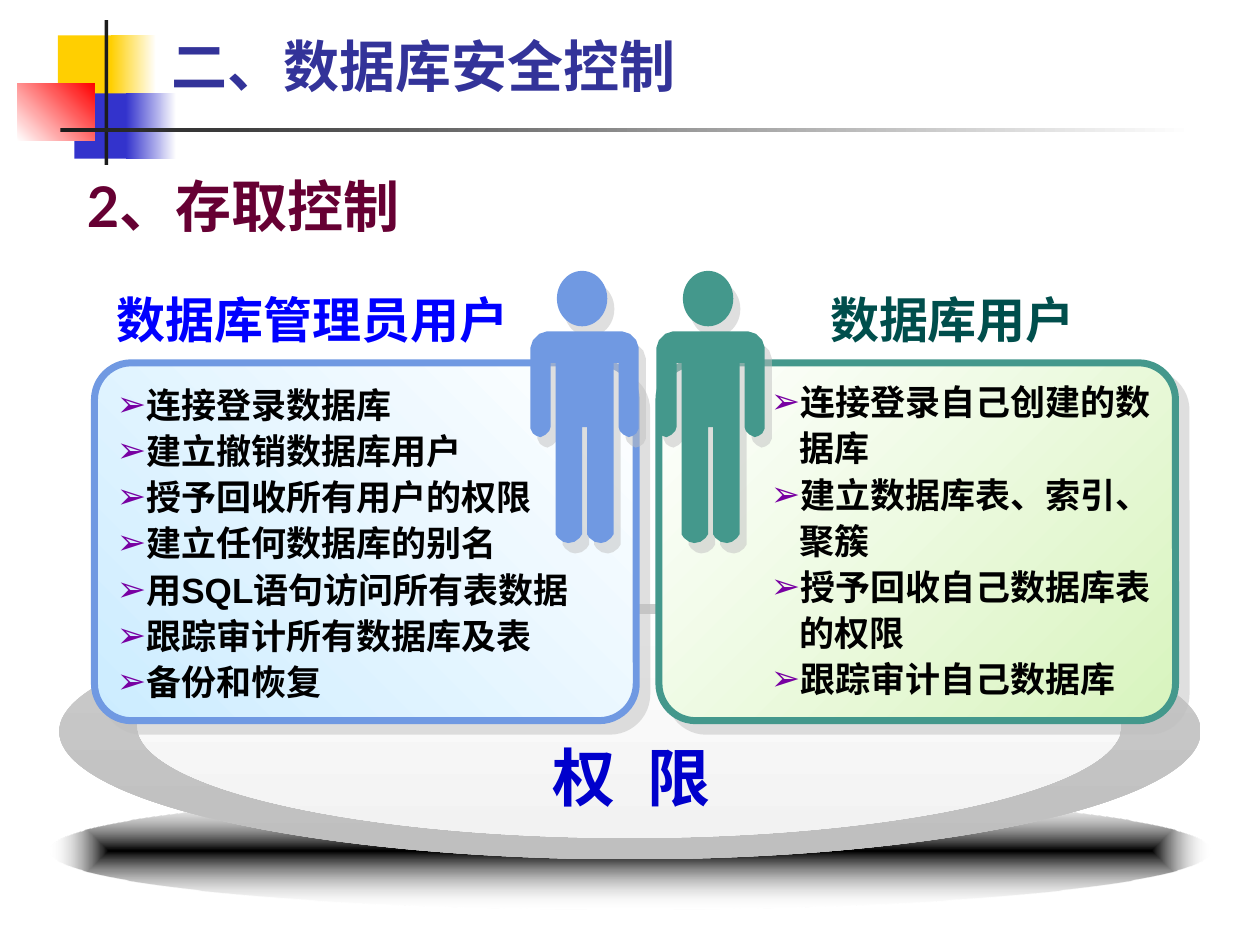
"""Build the database access control slide."""
import pptx
import pptx.util
import pptx.dml.color
import pptx.enum.shapes
import pptx.enum.text
import pptx.oxml
import pptx.oxml.ns

KIND = pptx.enum.shapes.MSO_SHAPE
ANCHOR = pptx.enum.text.MSO_ANCHOR
Inches = pptx.util.Inches
NS = pptx.oxml.ns.nsdecls("a")

BLUE, GREEN = "7099E2", "44988C"
DECOR = [
    ((0.46, 0.28, 0.48, 0.52), "FFCF01"),
    ((0.88, 0.28, 0.36, 0.52), ("FFCF01", "FFFFFF", 0)),
    ((0.59, 0.74, 0.46, 0.52), "3333CC"),
    ((1, 0.74, 0.4, 0.52), ("3333CC", "FFFFFF", 0)),
    ((0.14, 0.66, 0.61, 0.46), ("FFFFFF", "FF0000", 315)),
    ((0.83, 0.16, 0.03, 1.15), "1C1C1C"),
    ((0.48, 1.02, 9, 0.03), ("1C1C1C", "FFFFFF", 0)),
]
DISC = [
    ((0.39, 6.28, 9.22, 0.94), ("000000", "FFFFFF", None)),
    ((0.47, 4.79, 9.06, 2.03), ("CCCCCC", "BFBFBF", 90)),
    ((1.09, 4.87, 7.81, 1.78), ("FFFFFF", "F2F2F2", 90)),
]
ADMIN = ["连接登录数据库", "建立撤销数据库用户", "授予回收所有用户的权限",
         "建立任何数据库的别名", "用SQL语句访问所有表数据",
         "跟踪审计所有数据库及表", "备份和恢复"]
USER = ["连接登录自己创建的数据库", "建立数据库表、索引、聚簇",
        "授予回收自己数据库表的权限", "跟踪审计自己数据库"]
HALF = [(0.3, 0), (0.36, 0.02), (0.41, 0.07), (0.43, 0.13), (0.43, 0.77),
        (0.41, 0.81), (0.38, 0.83), (0.35, 0.84), (0.31, 0.82), (0.28, 0.79),
        (0.27, 0.76), (0.27, 0.25), (0.23, 0.25), (0.23, 1.61), (0.21, 1.64),
        (0.17, 1.67), (0.13, 1.68), (0.08, 1.67), (0.04, 1.64), (0.02, 1.61),
        (0.02, 0.76)]


def rgb(code):
    """Turn a hex string into a colour."""
    return pptx.dml.color.RGBColor.from_string(code)


def paint(shape, fill, line=None, shade=None):
    """Set fill, outline and shadow of a shape."""
    shape.fill.solid()
    if isinstance(fill, str):
        shape.fill.fore_color.rgb = rgb(fill)
    else:
        first, last, turn = fill
        if turn is None:
            alpha = '<a:alpha val="0"/>'
            way = ('<a:path path="shape"><a:fillToRect l="50000" t="50000" '
                   'r="50000" b="50000"/></a:path>')
        else:
            alpha, way = "", f'<a:lin ang="{turn * 60000}" scaled="0"/>'
        solid = shape._element.spPr.find(pptx.oxml.ns.qn("a:solidFill"))
        solid.getparent().replace(solid, pptx.oxml.parse_xml(
            f'<a:gradFill {NS} rotWithShape="1"><a:gsLst>'
            f'<a:gs pos="0"><a:srgbClr val="{first}"/></a:gs>'
            f'<a:gs pos="100000"><a:srgbClr val="{last}">{alpha}</a:srgbClr>'
            f'</a:gs></a:gsLst>{way}</a:gradFill>'))
    if line:
        shape.line.color.rgb = rgb(line)
        shape.line.width = pptx.util.Pt(4)
    else:
        shape.line.fill.background()
    shape.shadow.inherit = False
    if shade:
        dist, turn = shade
        effect = shape._element.spPr.find(pptx.oxml.ns.qn("a:effectLst"))
        effect.append(pptx.oxml.parse_xml(
            f'<a:outerShdw {NS} blurRad="0" dist="{int(dist * 12700)}" '
            f'dir="{turn * 60000}" algn="ctr" rotWithShape="0">'
            f'<a:srgbClr val="C0C0C0"><a:alpha val="50000"/></a:srgbClr>'
            f'</a:outerShdw>'))


def block(slide, kind, box, fill, **look):
    """Add a painted preset shape."""
    shape = slide.shapes.add_shape(kind, *map(Inches, box))
    paint(shape, fill, **look)
    return shape


def card(slide, box, fill, line):
    """Add a rounded panel."""
    shape = block(slide, KIND.ROUNDED_RECTANGLE, box, fill, line=line, shade=(8.5, 45))
    shape.adjustments[0] = 0.103


def person(slide, mid, color):
    """Add a standing figure centred on mid."""
    shade = (7.2, 56)
    block(slide, KIND.OVAL, (mid - 0.22, 2.15, 0.4, 0.44), color, shade=shade)
    pairs = HALF + [(-x, y) for x, y in reversed(HALF)]
    spots = [(Inches(mid + x), Inches(2.63 + y)) for x, y in pairs]
    pen = slide.shapes.build_freeform(*spots[0])
    pen.add_line_segments(spots[1:], close=True)
    paint(pen.convert_to_shape(), color, shade=shade)


def write(slide, lines, box, size=20, color="000000", font="Arial",
          anchor=ANCHOR.TOP, bullet=False, gap=0):
    """Add a bold text box, with bullets or letter gaps if asked."""
    frame = slide.shapes.add_textbox(*map(Inches, box)).text_frame
    frame.word_wrap = True
    frame.vertical_anchor = anchor
    if gap:
        frame.margin_right = 0
    for i, line in enumerate(lines):
        para = frame.paragraphs[0] if i == 0 else frame.add_paragraph()
        if bullet:
            para.line_spacing = 1.1
            props = para._p.get_or_add_pPr()
            props.set("marL", str(Inches(0.23)))
            props.set("indent", str(-Inches(0.23)))
            for part in ('buClr {}><a:srgbClr val="7800A2"/></a:buClr>',
                         'buFont {} typeface="Arial"/>', 'buChar {} char="➢"/>'):
                props.append(pptx.oxml.parse_xml("<a:" + part.format(NS)))
        run = para.add_run()
        run.text = line
        run.font.size = pptx.util.Pt(size)
        run.font.name = font
        run.font.bold = True
        run.font.color.rgb = rgb(color)
        if gap:
            run._r.get_or_add_rPr().set("spc", str(gap * 100))


def main():
    """Build and save the slide."""
    deck = pptx.Presentation()
    deck.slide_width, deck.slide_height = Inches(10), Inches(7.5)
    slide = deck.slides.add_slide(deck.slide_layouts[6])
    for box, fill in DECOR:
        block(slide, KIND.RECTANGLE, box, fill)
    for box, fill in DISC:
        block(slide, KIND.OVAL, box, fill)
    write(slide, ["权 限"], (4.29, 5.81, 1.48, 0.7), size=36, color="0000CC", gap=5)
    write(slide, ["二、数据库安全控制"], (1.26, 0.28, 8.52, 0.55), size=32,
          color="333399", font="Lato", anchor=ANCHOR.BOTTOM)
    write(slide, ["2、存取控制"], (0.59, 1.31, 5.51, 0.63), size=32,
          color="660033", font="Lato")
    card(slide, (0.75, 2.88, 4.3, 2.84), ("CCECFF", "FFFFFF", 315), BLUE)
    person(slide, 4.64, BLUE)
    write(slide, ADMIN, (0.83, 2.96, 4.17, 2.66), bullet=True)
    card(slide, (5.23, 2.88, 4.1, 2.84), ("FFFFFF", "D8F4BE", 45), GREEN)
    write(slide, USER, (6.02, 2.94, 3.23, 2.66), bullet=True)
    person(slide, 5.64, GREEN)
    write(slide, ["数据库用户"], (6.49, 2.25, 2.44, 0.57), size=28, color="004E4C")
    write(slide, ["数据库管理员用户"], (0.83, 2.25, 3.62, 0.57), size=28, color="0000FF")
    deck.save("out.pptx")


if __name__ == "__main__":
    main()
